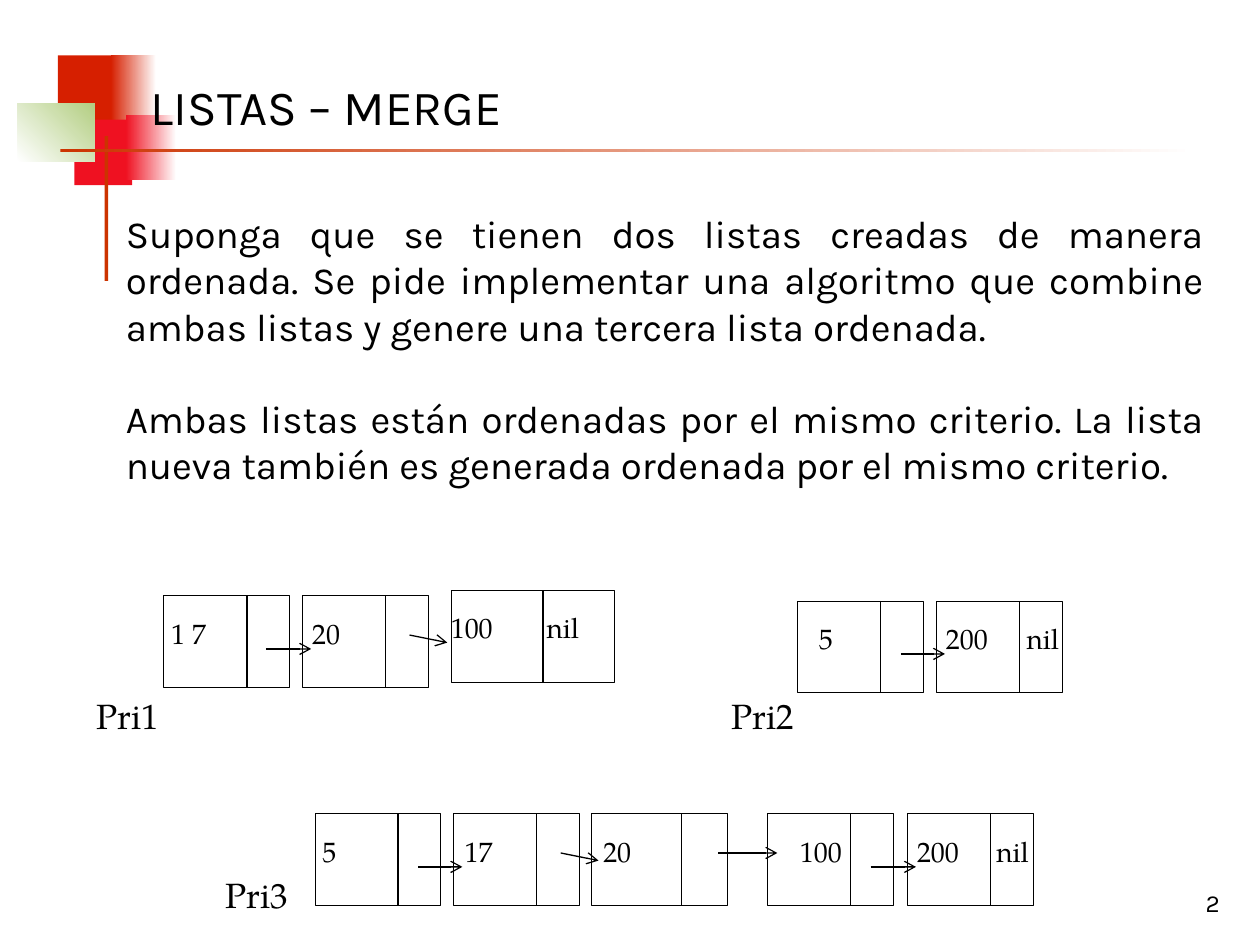
from dataclasses import dataclass

from lxml import etree
from pptx import Presentation
from pptx.dml.color import RGBColor
from pptx.enum.shapes import MSO_CONNECTOR, MSO_SHAPE
from pptx.enum.text import MSO_ANCHOR, PP_ALIGN
from pptx.oxml.ns import qn
from pptx.util import Inches, Pt

RECTANGLE = MSO_SHAPE.RECTANGLE
STRAIGHT = MSO_CONNECTOR.STRAIGHT
TOP, BOTTOM = MSO_ANCHOR.TOP, MSO_ANCHOR.BOTTOM
LEFT, RIGHT, JUSTIFY = PP_ALIGN.LEFT, PP_ALIGN.RIGHT, PP_ALIGN.JUSTIFY


@dataclass(frozen=True)
class Theme:
    ink: str = "000000"
    white: str = "FFFFFF"
    red: str = "D61F00"
    crimson: str = "EF1121"
    green: str = "B3CE82"
    rust: str = "CC3300"
    heading_font: str = "Karla"
    list_font: str = "TeX Gyre Pagella"
    title_size: float = 28
    body_size: float = 22
    label_size: float = 20
    value_size: float = 16
    number_size: float = 14
    paragraph_gap: float = 26.5
    box_line: float = 0.5
    thin_line: float = 0.75


THEME = Theme()
NODE_HEIGHT = 0.73
VALUE_DROP = 0.11

# Each decoration: left, top, width, height, start colour, end colour, angle
DECORATIONS = [
    (0.46, 0.44, 0.48, 0.52, THEME.red, None, 0),
    (0.88, 0.44, 0.36, 0.52, THEME.red, THEME.white, 0),
    (0.59, 0.95, 0.46, 0.52, THEME.crimson, None, 0),
    (1.00, 0.91, 0.40, 0.52, THEME.crimson, THEME.white, 0),
    (0.14, 0.82, 0.61, 0.46, THEME.white, THEME.green, 45),
    (0.83, 1.08, 0.03, 1.15, THEME.rust, None, 0),
    (0.48, 1.18, 9.00, 0.03, THEME.rust, THEME.white, 0),
]

BODY = [
    "Suponga que se tienen dos listas creadas de manera ordenada. Se pide "
    "implementar una algoritmo que combine ambas listas y genere una tercera "
    "lista ordenada.",
    "Ambas listas están ordenadas por el mismo criterio. La lista nueva "
    "también es generada ordenada por el mismo criterio.",
]

# Each list: label, label place, nodes and arrows
# Node: left, top, width, divider offset, value, value left, nil left
LISTS = [
    ("Pri1", (0.67, 5.46),
     [(1.30, 4.73, 1.00, 0.66, "1 7", 1.26, None),
      (2.40, 4.73, 1.00, 0.66, "20", 2.38, None),
      (3.58, 4.69, 1.30, 0.73, "100", 3.48, 4.24)],
     [(2.11, 5.15, 2.47, 5.15), (3.25, 5.04, 3.55, 5.10)]),
    ("Pri2", (5.71, 5.46),
     [(6.33, 4.77, 1.00, 0.66, "5", 6.40, None),
      (7.43, 4.77, 1.00, 0.66, "200", 7.41, 8.05)],
     [(7.15, 5.19, 7.50, 5.19)]),
    ("Pri3", (1.69, 6.88),
     [(2.50, 6.46, 1.00, 0.66, "5", 2.46, None),
      (3.60, 6.46, 1.00, 0.66, "17", 3.59, None),
      (4.69, 6.46, 1.08, 0.72, "20", 4.69, None),
      (6.09, 6.46, 1.00, 0.66, "100", 6.25, None),
      (7.20, 6.46, 1.00, 0.66, "200", 7.18, 7.81)],
     [(3.32, 6.88, 3.67, 6.88), (4.45, 6.77, 4.75, 6.83),
      (5.70, 6.77, 6.17, 6.77), (6.91, 6.88, 7.27, 6.88)]),
]


def color(value):
    return RGBColor.from_string(value)


def add_rectangle(page, left, top, width, height):
    box = page.shapes.add_shape(RECTANGLE, Inches(left), Inches(top),
                                Inches(width), Inches(height))
    box.shadow.inherit = False
    return box


def add_decoration(page, left, top, width, height, start, end, angle):
    box = add_rectangle(page, left, top, width, height)
    box.line.fill.background()
    if end is None:
        box.fill.solid()
        box.fill.fore_color.rgb = color(start)
        return
    box.fill.gradient()
    box.fill.gradient_angle = angle
    for stop, value in zip(box.fill.gradient_stops, (start, end)):
        stop.color.rgb = color(value)


def add_text(page, place, paragraphs, font, size, align=LEFT, anchor=TOP,
             wrap=True):
    box = page.shapes.add_textbox(*(Inches(length) for length in place))
    frame = box.text_frame
    frame.word_wrap = wrap
    frame.vertical_anchor = anchor
    for index, text in enumerate(paragraphs):
        para = frame.add_paragraph() if index else frame.paragraphs[0]
        para.alignment = align
        if index:
            para.space_before = Pt(THEME.paragraph_gap)
        span = para.add_run()
        span.text = text
        span.font.name = font
        span.font.size = Pt(size)
        span.font.color.rgb = color(THEME.ink)


def add_line(page, x1, y1, x2, y2, arrow=False):
    line = page.shapes.add_connector(STRAIGHT, Inches(x1), Inches(y1),
                                     Inches(x2), Inches(y2))
    line.line.color.rgb = color(THEME.ink)
    line.line.width = Pt(THEME.thin_line)
    if arrow:
        outline = line.line._get_or_add_ln()
        etree.SubElement(outline, qn("a:tailEnd"), type="arrow")
    etree.SubElement(line._element.spPr, qn("a:effectLst"))


def add_node(page, left, top, width, divider, value, value_left, nil_left):
    box = add_rectangle(page, left, top, width, NODE_HEIGHT)
    box.fill.background()
    box.line.color.rgb = color(THEME.ink)
    box.line.width = Pt(THEME.box_line)
    add_line(page, left + divider, top, left + divider, top + NODE_HEIGHT)
    for text, text_left in ((value, value_left), ("nil", nil_left)):
        if text_left is not None:
            add_text(page, (text_left, top + VALUE_DROP, 0.6, 0.52), [text],
                     THEME.list_font, THEME.value_size, wrap=False)


def add_list(page, label, place, nodes, arrows):
    add_text(page, (*place, 0.7, 0.5), [label], THEME.list_font,
             THEME.label_size, wrap=False)
    for node in nodes:
        add_node(page, *node)
    for arrow in arrows:
        add_line(page, *arrow, arrow=True)


def main():
    deck = Presentation()
    deck.slide_width, deck.slide_height = Inches(10), Inches(7.5)
    page = deck.slides.add_slide(deck.slide_layouts[6])

    # Corner blocks and rules
    for decoration in DECORATIONS:
        add_decoration(page, *decoration)

    # Title, statement and page number
    add_text(page, (1.1, 0.21, 9.33, 0.91), ["LISTAS – MERGE"],
             THEME.heading_font, THEME.title_size, anchor=BOTTOM)
    add_text(page, (0.9, 1.62, 8.75, 2.67), BODY,
             THEME.heading_font, THEME.body_size, align=JUSTIFY)
    add_text(page, (7.7, 6.83, 2.08, 0.5), ["2"], THEME.heading_font,
             THEME.number_size, align=RIGHT, anchor=BOTTOM)

    # Linked lists
    for linked_list in LISTS:
        add_list(page, *linked_list)

    deck.save("out.pptx")


if __name__ == "__main__":
    main()
